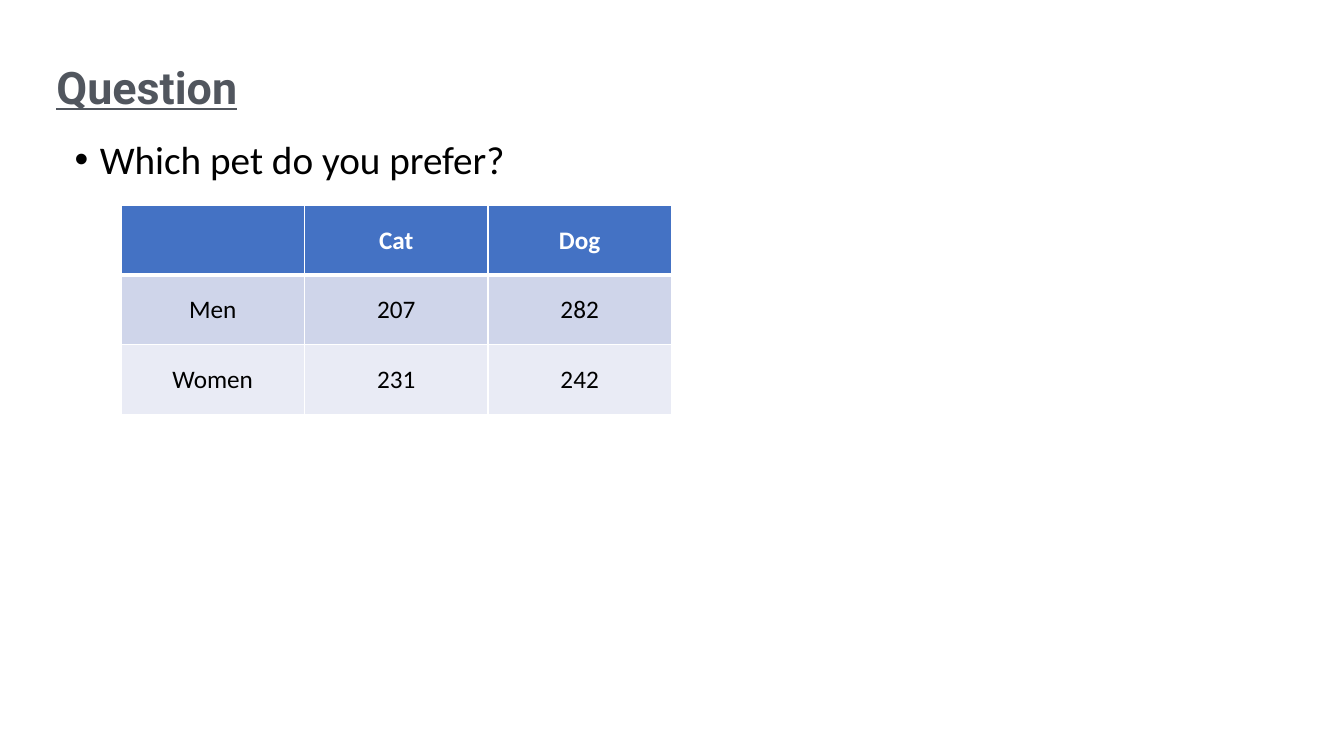
from lxml.etree import SubElement
from pptx import Presentation
from pptx.dml.color import RGBColor
from pptx.enum.text import MSO_ANCHOR as Anchor, MSO_AUTO_SIZE as AutoSize, PP_ALIGN as Align
from pptx.oxml.ns import qn
from pptx.util import Emu, Pt

PX = 9144
COLORS = {
    "title": "51565E",
    "text": "000000",
    "white": "FFFFFF",
    "header": "4472C4",
    "band_dark": "CFD5EA",
    "band_light": "E9EBF5",
}
ANSWERS = [("", "Cat", "Dog"), ("Men", "207", "282"), ("Women", "231", "242")]
ROW_FILLS = ["header", "band_dark", "band_light"]


def px(n):
    return Emu(n * PX)


class SlideBuilder:
    def __init__(self, prs):
        self.font = "Calibri"
        self.slide = prs.slides.add_slide(prs.slide_layouts[1])

    def run(self, p, text, size, color, font=None, bold=False, underline=False):
        r = p.add_run()
        r.text = text
        r.font.name = font or self.font
        r.font.size = Pt(size)
        r.font.bold = bold
        r.font.underline = underline
        r.font.color.rgb = RGBColor.from_string(COLORS[color])

    def placeholder(self, idx, box, anchor):
        sp = self.slide.placeholders[idx]
        sp.left, sp.top, sp.width, sp.height = map(px, box)
        tf = sp.text_frame
        tf.word_wrap = True
        tf.auto_size = AutoSize.NONE
        tf.vertical_anchor = anchor
        p = tf.paragraphs[0]
        p.alignment = Align.LEFT
        p.line_spacing = 0.9
        return p

    def title(self, text, box):
        p = self.placeholder(0, box, Anchor.MIDDLE)
        self.run(p, text, 32, "title", "Roboto", bold=True, underline=True)

    def bullet(self, text, box):
        p = self.placeholder(1, box, Anchor.TOP)
        p.space_before = Pt(10)
        pPr = p._p.get_or_add_pPr()
        pPr.set("marL", str(px(25)))
        pPr.set("indent", str(px(-25)))
        SubElement(pPr, qn("a:buFont"), typeface="Arial")
        SubElement(pPr, qn("a:buChar"), char="•")
        self.run(p, text, 28, "text")

    def border(self, cell, side, width):
        ln = SubElement(cell._tc.get_or_add_tcPr(), qn(f"a:ln{side}"), w=str(Pt(width)))
        fill = SubElement(ln, qn("a:solidFill"))
        SubElement(fill, qn("a:srgbClr"), val=COLORS["white"])

    def cell(self, cell, text, row):
        cell.vertical_anchor = Anchor.MIDDLE
        widths = {"L": 1, "R": 1, "T": 3 if row == 1 else 1, "B": 3 if row == 0 else 1}
        for side, width in widths.items():
            self.border(cell, side, width)
        cell.fill.solid()
        cell.fill.fore_color.rgb = RGBColor.from_string(COLORS[ROW_FILLS[row]])
        p = cell.text_frame.paragraphs[0]
        p.alignment = Align.CENTER
        if text:
            self.run(p, text, 18, "text" if row else "white", bold=row == 0)

    def table(self, rows, left, top, col_width, row_height):
        n_rows, n_cols = len(rows), len(rows[0])
        table = self.slide.shapes.add_table(
            n_rows, n_cols, px(left), px(top), px(col_width * n_cols), px(row_height * n_rows)
        ).table
        for i, values in enumerate(rows):
            for j, text in enumerate(values):
                self.cell(table.cell(i, j), text, i)


def main():
    prs = Presentation()
    prs.slide_width, prs.slide_height = px(1333), px(750)
    builder = SlideBuilder(prs)
    builder.title("Question", (46, 17, 1150, 145))
    builder.bullet("Which pet do you prefer?", (64, 134, 1150, 476))
    builder.table(ANSWERS, 120, 204, 182, 69)
    prs.save("out.pptx")


if __name__ == "__main__":
    main()
